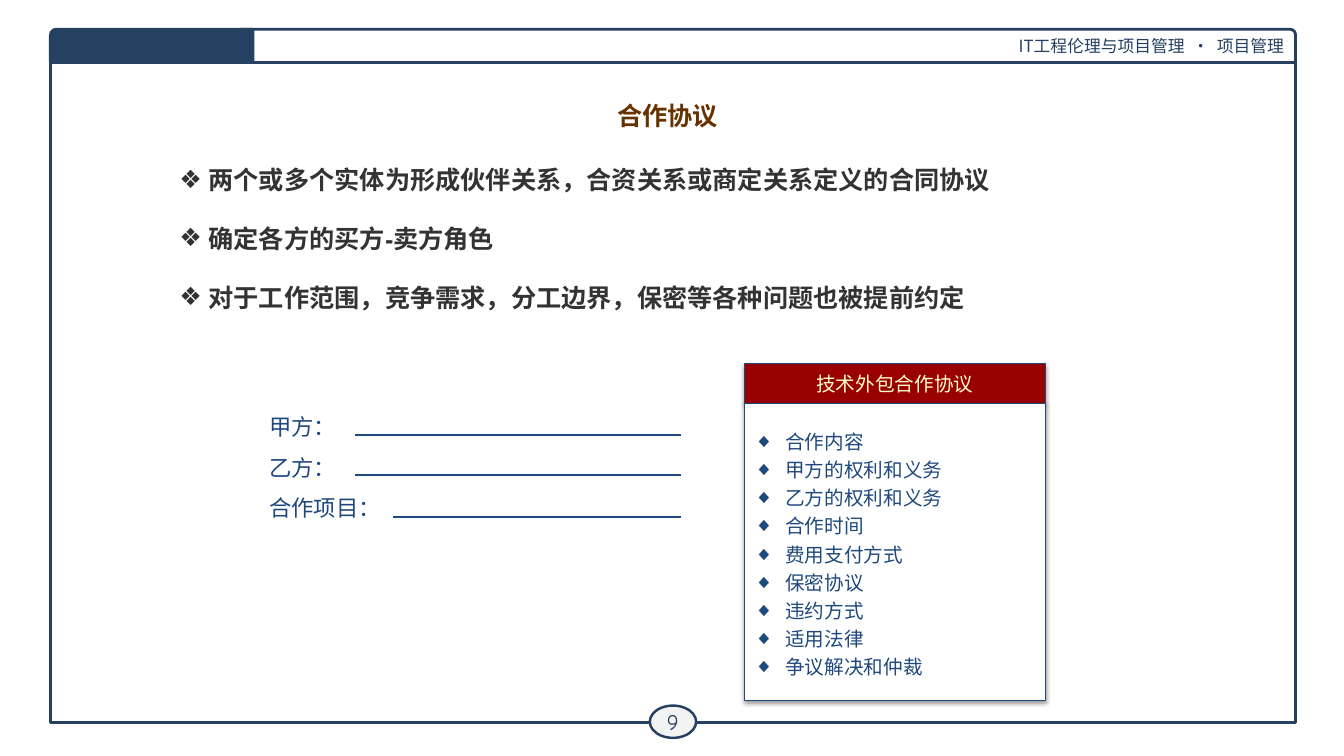
"""Build the cooperation agreement slide."""
import pptx
import pptx.dml.color
import pptx.enum.shapes
import pptx.enum.text
import pptx.oxml.ns
import pptx.util
from lxml import etree

Inches = pptx.util.Inches
Pt = pptx.util.Pt
RGBColor = pptx.dml.color.RGBColor
SHAPE = pptx.enum.shapes.MSO_SHAPE
ALIGN = pptx.enum.text.PP_ALIGN
ANCHOR = pptx.enum.text.MSO_ANCHOR
qn = pptx.oxml.ns.qn

NAVY = RGBColor(0x25, 0x40, 0x61)
BLUE = RGBColor(0x1F, 0x49, 0x7D)
WHITE = RGBColor(0xFF, 0xFF, 0xFF)
PALE = RGBColor(0xF3, 0xF3, 0xF3)
BROWN = RGBColor(0x66, 0x33, 0x00)
CHARCOAL = RGBColor(0x33, 0x33, 0x33)
RED = RGBColor(0x99, 0x00, 0x00)
CREAM = RGBColor(0xFF, 0xFF, 0xCC)

SERIF = "TeX Gyre Schola"
SANS = "Arial"
HAN = "Noto Sans CJK SC"

POINTS = [
    "两个或多个实体为形成伙伴关系，合资关系或商定关系定义的合同协议",
    "确定各方的买方-卖方角色",
    "对于工作范围，竞争需求，分工边界，保密等各种问题也被提前约定",
]
CLAUSES = [
    "合作内容", "甲方的权利和义务", "乙方的权利和义务", "合作时间", "费用支付方式",
    "保密协议", "违约方式", "适用法律", "争议解决和仲裁",
]
FIELDS = [("甲方：", 0.95, 0.4), ("乙方：", 0.95, 0.79), ("合作项目：", 1.33, 1.21)]


def apply(target, values):
    """Set each named attribute of the target."""
    for name, value in values.items():
        setattr(target, name, value)


def add_bullet(para, symbol, indent):
    """Give the paragraph a hanging bullet."""
    props = para._p.get_or_add_pPr()
    props.set("marL", str(Inches(indent)))
    props.set("indent", str(-Inches(indent)))
    etree.SubElement(props, qn("a:buFont"), typeface=SANS)
    etree.SubElement(props, qn("a:buChar"), char=symbol)


def write(frame, lines, font, color, layout=None, bullet=None, asian=SERIF):
    """Fill the frame with one formatted paragraph per line."""
    for index, line in enumerate(lines):
        para = frame.paragraphs[0] if index == 0 else frame.add_paragraph()
        if bullet:
            add_bullet(para, *bullet)
        apply(para, {"alignment": ALIGN.LEFT, **(layout or {})})
        if index == 0:
            para.space_before = Pt(0)
        span = para.add_run()
        span.text = line
        apply(span.font, font)
        span.font.color.rgb = color
        etree.SubElement(span._r.get_or_add_rPr(), qn("a:ea"), typeface=asian)


def add_box(page, kind, area, fill, line, width):
    """Add a preset shape without shadow."""
    box = page.shapes.add_shape(kind, *map(Inches, area))
    box.shadow.inherit = False
    if fill is None:
        box.fill.background()
    else:
        box.fill.solid()
        box.fill.fore_color.rgb = fill
    box.line.color.rgb = line
    box.line.width = Pt(width)
    apply(box.text_frame, {"word_wrap": True, "vertical_anchor": ANCHOR.MIDDLE})
    return box


def add_shadow(box, opacity, distance):
    """Cast a soft black shadow straight down."""
    effects = box._element.spPr.find(qn("a:effectLst"))
    shadow = etree.SubElement(
        effects, qn("a:outerShdw"), blurRad=str(Pt(3.1)), dist=str(Pt(distance)),
        dir="5400000", rotWithShape="0")
    color = etree.SubElement(shadow, qn("a:srgbClr"), val="000000")
    etree.SubElement(color, qn("a:alpha"), val=str(opacity * 1000))


def build_frame(page, left, top, width, height):
    """Draw the border, the header band and the page number."""
    add_box(page, SHAPE.RECTANGLE, (left, top + 0.21, width, height - 0.21), None, NAVY, 2)
    header = add_box(page, SHAPE.ROUND_1_RECTANGLE,
                     (left + 1.88, top, width - 1.88, 0.33), WHITE, NAVY, 2)
    write(header.text_frame, ["IT工程伦理与项目管理  ·  项目管理"],
          {"name": HAN, "size": Pt(12)}, NAVY, {"alignment": ALIGN.RIGHT}, asian=HAN)
    badge = add_box(page, SHAPE.OVAL,
                    (left + width / 2 - 0.23, top + height - 0.17, 0.46, 0.32),
                    PALE, NAVY, 1.75)
    margins = ("margin_left", "margin_top", "margin_right", "margin_bottom")
    apply(badge.text_frame, {"word_wrap": False, **dict.fromkeys(margins, Inches(0.04))})
    write(badge.text_frame, ["9"], {"name": "Comic Neue", "size": Pt(16)}, NAVY,
          {"alignment": ALIGN.CENTER})
    tab = add_box(page, SHAPE.ROUND_1_RECTANGLE, (left, top, 2.01, 0.33), NAVY, NAVY, 2)
    tab.adjustments[0] = 0.175
    tab._element.spPr.find(qn("a:xfrm")).set("flipH", "1")


def build_title(page, left, top, width, height):
    """Place and format the title."""
    title = page.shapes.title
    apply(title, {"left": Inches(left), "top": Inches(top),
                  "width": Inches(width), "height": Inches(height)})
    apply(title.text_frame, {"word_wrap": True, "vertical_anchor": ANCHOR.TOP})
    write(title.text_frame, ["合作协议"], {"name": SERIF, "size": Pt(18), "bold": True},
          BROWN, {"alignment": ALIGN.CENTER})


def build_points(page, left, top, width, height):
    """Write the main bullet points."""
    box = page.shapes.add_textbox(*map(Inches, (left, top, width, height)))
    box.text_frame.word_wrap = True
    write(box.text_frame, POINTS, {"name": SERIF, "size": Pt(18), "bold": True}, CHARCOAL,
          {"line_spacing": 1.5, "space_before": Pt(7.2), "space_after": Pt(2.4)},
          ("❖", 0.29))


def build_contract(page, left, top, width, height):
    """Draw the contract card with its heading and clauses."""
    band = 0.39
    font = {"name": SANS, "size": Pt(14)}
    heading = add_box(page, SHAPE.RECTANGLE, (left, top, width, band), RED, BLUE, 0.75)
    add_shadow(heading, 35, 1.8)
    write(heading.text_frame, ["技术外包合作协议"], font, CREAM, {"alignment": ALIGN.CENTER})
    card = add_box(page, SHAPE.RECTANGLE, (left, top + band, width, height - band),
                   WHITE, BLUE, 0.75)
    add_shadow(card, 38, 1.6)
    write(card.text_frame, CLAUSES, font, BLUE, {"line_spacing": 1.2}, ("◆", 0.31))


def build_form(page, left, top, width, height):
    """Write the party labels and rule a blank after each."""
    box = page.shapes.add_textbox(*map(Inches, (left, top, 1.32, height)))
    apply(box.text_frame, {"word_wrap": False,
                           "auto_size": pptx.enum.text.MSO_AUTO_SIZE.SHAPE_TO_FIT_TEXT})
    write(box.text_frame, [label for label, _, _ in FIELDS],
          {"name": SANS, "size": Pt(16)}, BLUE, {"line_spacing": 1.5})
    for _, start, drop in FIELDS:
        ends = (left + start, top + drop, left + width, top + drop)
        blank = page.shapes.add_connector(
            pptx.enum.shapes.MSO_CONNECTOR.STRAIGHT, *map(Inches, ends))
        blank.line.color.rgb = BLUE
        blank.line.width = Pt(1.5)
        etree.SubElement(blank._element.spPr, qn("a:effectLst"))


def main():
    """Build and save the deck."""
    deck = pptx.Presentation()
    apply(deck, {"slide_width": Inches(13.33), "slide_height": Inches(7.5)})
    page = deck.slides.add_slide(deck.slide_layouts.get_by_name("Title Only"))
    build_frame(page, 0.5, 0.29, 12.35, 6.88)
    build_title(page, 2.12, 0.94, 9, 0.48)
    build_points(page, 1.68, 1.43, 8.92, 1.31)
    build_contract(page, 7.38, 3.61, 2.99, 3.34)
    build_form(page, 2.57, 3.92, 4.18, 1.27)
    deck.save("out.pptx")


if __name__ == "__main__":
    main()
